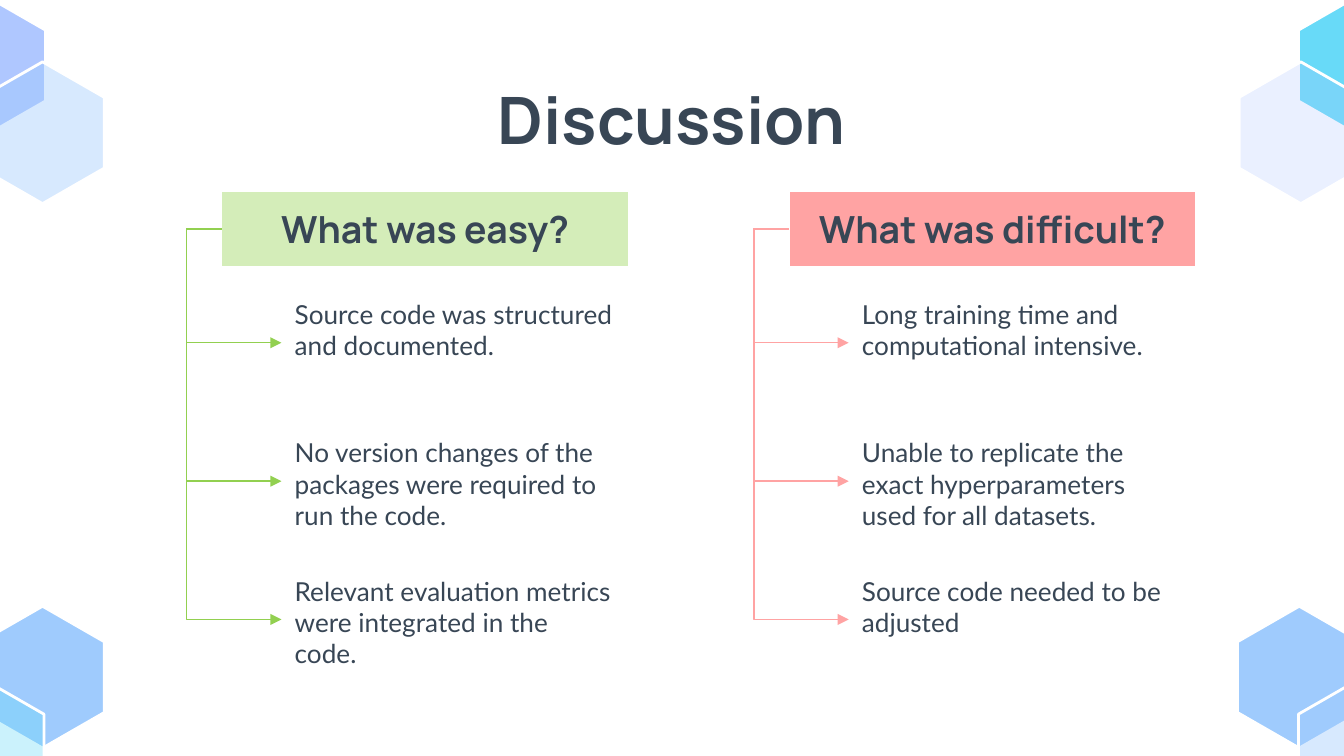
from dataclasses import dataclass

from lxml import etree
from pptx import Presentation
from pptx.dml.color import RGBColor
from pptx.enum.shapes import MSO_CONNECTOR, MSO_SHAPE
from pptx.enum.text import MSO_ANCHOR, MSO_AUTO_SIZE, PP_ALIGN
from pptx.oxml.ns import qn
from pptx.util import Cm, Pt

ELBOW = MSO_CONNECTOR.ELBOW
RECTANGLE = MSO_SHAPE.RECTANGLE
TOP, MIDDLE = MSO_ANCHOR.TOP, MSO_ANCHOR.MIDDLE
LEFT, CENTER = PP_ALIGN.LEFT, PP_ALIGN.CENTER
TITLE_ONLY = 5


@dataclass(frozen=True)
class Theme:
    ink: str = "384655"
    white: str = "FFFFFF"
    blue: str = "9FCBFD"
    lavender: str = "AFC7FF"
    cyan: str = "68DAF8"
    easy_fill: str = "D4EDB9"
    easy_line: str = "92D050"
    difficult: str = "FFA3A3"
    heading_font: str = "Manrope"
    body_font: str = "Lato"
    title_size: int = 35
    heading_size: int = 20
    body_size: int = 14
    hexagon_line: float = 1.5
    thin_line: float = 0.75


THEME = Theme()

HEXAGON_SIZE = (2.33, 2.68)
HEXAGONS = [
    (-0.36, 11.46, THEME.blue, 100),
    (-1.5, 12.83, THEME.cyan, 34),
    (24.54, -0.1, THEME.cyan, 100),
    (23.42, 1.17, THEME.lavender, 25),
    (23.39, 11.46, THEME.blue, 100),
    (24.54, 12.83, THEME.blue, 41),
    (-1.47, -0.1, THEME.lavender, 100),
    (-0.36, 1.17, THEME.blue, 41),
]

COLUMNS = [
    (4.19, "What was easy?", THEME.easy_fill, THEME.easy_line, [
        "Source code was structured and documented.",
        "No version changes of the packages were required to run the code.",
        "Relevant evaluation metrics were integrated in the code.",
    ]),
    (14.91, "What was difficult?", THEME.difficult, THEME.difficult, [
        "Long training time and computational intensive.",
        "Unable to replicate the exact hyperparameters used for all datasets.",
        "Source code needed to be adjusted",
    ]),
]


def write_text(shape, text, *, font, size, bold=False, align=LEFT, anchor=TOP):
    frame = shape.text_frame
    frame.word_wrap = True
    frame.auto_size = MSO_AUTO_SIZE.NONE
    frame.vertical_anchor = anchor
    frame.margin_left = frame.margin_right = Cm(0.25)
    frame.margin_top = frame.margin_bottom = Cm(0.25)
    para = frame.paragraphs[0]
    para.alignment = align
    span = para.add_run()
    span.text = text
    span.font.name = font
    span.font.size = Pt(size)
    span.font.bold = bold
    span.font.color.rgb = RGBColor.from_string(THEME.ink)


def paint(shape, fill, line_width, opacity=100):
    shape.shadow.inherit = False
    shape.fill.solid()
    shape.fill.fore_color.rgb = RGBColor.from_string(fill)
    shape.line.color.rgb = RGBColor.from_string(THEME.white)
    shape.line.width = Pt(line_width)
    if opacity < 100:
        color = shape._element.spPr.find(qn("a:solidFill"))[0]
        etree.SubElement(color, qn("a:alpha"), val=str(opacity * 1000))


def add_hexagon(page, box, fill, opacity):
    left, top, width, height = box
    right, middle = left + width, left + width / 2
    upper, lower = top + height / 4, top + height * 3 / 4
    corners = [(middle, top), (left, upper), (left, lower),
               (middle, top + height), (right, lower), (right, upper)]
    points = [(Cm(x), Cm(y)) for x, y in corners]
    builder = page.shapes.build_freeform(*points[0])
    builder.add_line_segments(points[1:], close=True)
    paint(builder.convert_to_shape(), fill, THEME.hexagon_line, opacity)


def add_branch(page, start, end, color, bend):
    branch = page.shapes.add_connector(ELBOW, *map(Cm, start + end))
    branch.line.color.rgb = RGBColor.from_string(color)
    branch.line.width = Pt(THEME.thin_line)
    properties = branch._element.spPr
    guides = properties.find(qn("a:prstGeom")).find(qn("a:avLst"))
    etree.SubElement(guides, qn("a:gd"), name="adj1", fmla=f"val {bend}")
    etree.SubElement(properties.find(qn("a:ln")), qn("a:tailEnd"), type="triangle")
    etree.SubElement(properties, qn("a:effectLst"))


def add_title(page, box, text):
    title = page.shapes.title
    title.left, title.top, title.width, title.height = map(Cm, box)
    write_text(title, text, font=THEME.heading_font, size=THEME.title_size,
               bold=True, align=CENTER)


def add_column(page, box, heading, fill, line, items):
    left, top, width, height = box
    heading_height, item_height, indent = 1.44, 2.18, 1.13
    first_item = top + 1.78
    step = (top + height - item_height - first_item) / (len(items) - 1)
    start = (left, top + heading_height / 2)

    header = page.shapes.add_shape(
        RECTANGLE, *map(Cm, (left, top, width, heading_height)))
    paint(header, fill, THEME.thin_line)
    write_text(header, heading, font=THEME.heading_font, size=THEME.heading_size,
               bold=True, align=CENTER, anchor=MIDDLE)

    for index, text in enumerate(items):
        item_left, item_top = left + indent, first_item + index * step
        item = page.shapes.add_textbox(
            *map(Cm, (item_left, item_top, width - indent, item_height)))
        write_text(item, text, font=THEME.body_font, size=THEME.body_size)
        end = (item_left, item_top + item_height / 2)
        add_branch(page, start, end, line, bend=-58500)


def main():
    deck = Presentation()
    deck.slide_width, deck.slide_height = Cm(25.4), Cm(14.29)
    page = deck.slides.add_slide(deck.slide_layouts[TITLE_ONLY])
    for left, top, fill, opacity in HEXAGONS:
        add_hexagon(page, (left, top, *HEXAGON_SIZE), fill, opacity)
    add_title(page, (2, 1.24, 21.4, 1.6), "Discussion")
    for left, *content in COLUMNS:
        add_column(page, (left, 3.61, 7.69, 9.19), *content)
    deck.save("out.pptx")


if __name__ == "__main__":
    main()
